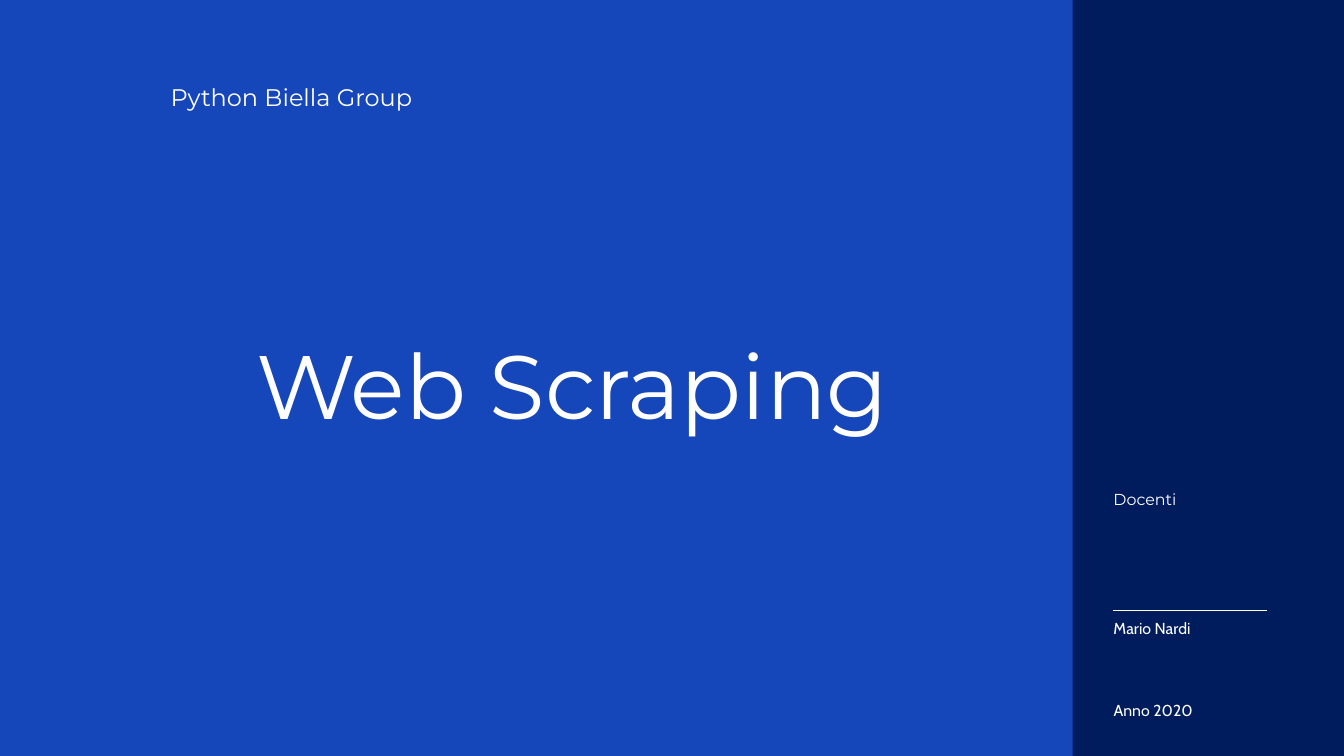
import pptx
import pptx.dml.color
import pptx.enum.shapes
import pptx.enum.text
import pptx.oxml.ns
import pptx.util
from lxml import etree
from pptx.util import Inches

COLORS = {"navy": "011C5D", "blue": "1546BA", "white": "FFFFFF"}


def rgb(name):
    return pptx.dml.color.RGBColor.from_string(COLORS[name])


def write_text(shape, text, *, left, top, width, height, size,
               font="Montserrat", color="white", spacing=None):
    """Place a text shape and fill it with one line; spacing is in points."""
    shape.left, shape.top = Inches(left), Inches(top)
    shape.width, shape.height = Inches(width), Inches(height)
    frame = shape.text_frame
    frame.margin_left = frame.margin_top = 0
    frame.margin_right = frame.margin_bottom = 0
    frame.word_wrap = True
    frame.auto_size = pptx.enum.text.MSO_AUTO_SIZE.NONE
    frame.vertical_anchor = pptx.enum.text.MSO_ANCHOR.TOP
    paragraph = frame.paragraphs[0]
    paragraph.alignment = pptx.enum.text.PP_ALIGN.LEFT
    paragraph.space_before = pptx.util.Pt(0)
    paragraph.line_spacing = pptx.util.Pt(spacing or size)
    run = paragraph.add_run()
    run.text = text
    run.font.name = font
    run.font.size = pptx.util.Pt(size)
    run.font.color.rgb = rgb(color)


def add_text(slide, text, **style):
    write_text(slide.shapes.add_textbox(0, 0, 0, 0), text, **style)


def add_rule(slide, left, top, width):
    rule = slide.shapes.add_connector(
        pptx.enum.shapes.MSO_CONNECTOR.STRAIGHT,
        Inches(left), Inches(top), Inches(left + width), Inches(top))
    rule.line.color.rgb = rgb("white")
    rule.line.width = pptx.util.Pt(0.75)
    properties = rule._element.spPr
    etree.SubElement(properties, pptx.oxml.ns.qn("a:effectLst"))


def build_title_panel(slide, left, top, width, height):
    panel = slide.shapes.add_shape(
        pptx.enum.shapes.MSO_SHAPE.RECTANGLE,
        Inches(left), Inches(top), Inches(width), Inches(height))
    panel.shadow.inherit = False
    panel.fill.solid()
    panel.fill.fore_color.rgb = rgb("blue")
    panel.line.fill.background()
    # The panel goes behind the title placeholder.
    title = slide.shapes.title
    title._element.addprevious(panel._element)

    add_text(slide, "Python Biella Group", left=left + 2.97, top=top + 1.39,
             width=3.77, height=0.37, size=25.7)
    write_text(title, "Web Scraping", left=left + 4.24, top=top + 5.26,
               width=9.84, height=1.35, size=96.4)


def build_teacher_column(slide, left, top, width):
    add_text(slide, "Docenti", left=left, top=top,
             width=1.26, height=0.25, size=17)
    add_rule(slide, left, top + 1.76, 2.28)
    add_text(slide, "Mario Nardi", left=left, top=top + 1.92,
             width=width, height=0.25, size=17, font="Cabin")
    add_text(slide, "Anno 2020", left=left, top=top + 3.05,
             width=2.28, height=0.29, size=17, font="Cabin", spacing=23.8)


def main():
    presentation = pptx.Presentation()
    presentation.slide_width = Inches(20)
    presentation.slide_height = Inches(11.25)
    slide = presentation.slides.add_slide(presentation.slide_layouts[5])
    slide.background.fill.solid()
    slide.background.fill.fore_color.rgb = rgb("navy")
    build_title_panel(slide, -0.43, -0.09, 16.39, 11.75)
    build_teacher_column(slide, 16.57, 7.33, 2.76)
    presentation.save("out.pptx")


if __name__ == "__main__":
    main()
